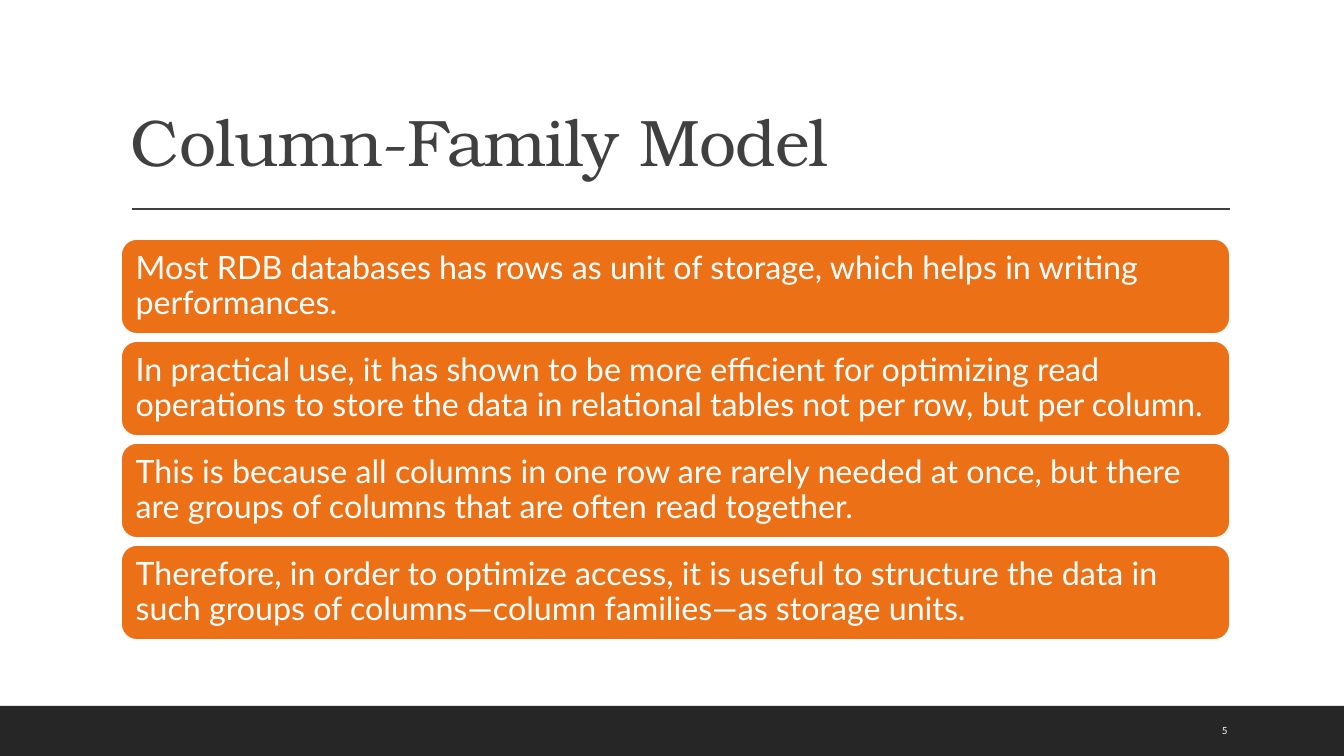
from lxml.etree import SubElement
from pptx import Presentation
from pptx.dml.color import RGBColor
from pptx.enum.shapes import MSO_CONNECTOR as Connector, MSO_SHAPE as Preset
from pptx.enum.text import MSO_ANCHOR as Anchor, PP_ALIGN as Align
from pptx.oxml.ns import qn
from pptx.util import Pt

EMU_PER_PX = 914400 / 100.8
COLORS = {
    "footer": "262626",
    "heading": "404040",
    "card": "EC7016",
    "white": "FFFFFF",
}
STATEMENTS = [
    "Most RDB databases has rows as unit of storage, which helps in writing performances.",
    "In practical use, it has shown to be more efficient for optimizing read operations "
    "to store the data in relational tables not per row, but per column.",
    "This is because all columns in one row are rarely needed at once, but there are "
    "groups of columns that are often read together.",
    "Therefore, in order to optimize access, it is useful to structure the data in such "
    "groups of columns—column families—as storage units.",
]
CARD_LEFT, CARD_TOP, CARD_WIDTH, CARD_HEIGHT, CARD_PITCH = 121, 239, 1109, 95, 102


def px(length):
    return round(length * EMU_PER_PX)


def color(name):
    return RGBColor.from_string(COLORS[name])


def set_all(target, values):
    for name, value in values.items():
        setattr(target, name, value)


def write(shape, text, size, font, ink, anchor=Anchor.MIDDLE):
    frame = shape.text_frame
    margins = {f"margin_{side}": px(10) for side in ("left", "top", "right", "bottom")}
    set_all(frame, {"word_wrap": True, "vertical_anchor": anchor, **margins})
    para = frame.paragraphs[0]
    set_all(para, {"alignment": Align.LEFT, "line_spacing": 0.9})
    span = para.add_run()
    span.text = text
    set_all(span.font, {"size": Pt(size), "name": font})
    span.font.color.rgb = color(ink)
    return span


def add_title(page, text):
    title = page.shapes.title
    set_all(title, {"left": px(121), "top": px(31), "width": px(1109), "height": px(160)})
    span = write(title, text, 47, "TeX Gyre Bonum", "heading", Anchor.BOTTOM)
    span.font._element.set("spc", "-50")


def add_block(page, preset, left, top, width, height, fill):
    block = page.shapes.add_shape(preset, px(left), px(top), px(width), px(height))
    block.shadow.inherit = False
    block.fill.solid()
    block.fill.fore_color.rgb = color(fill)
    block.line.fill.background()
    return block


def add_card(page, top, text):
    card = add_block(page, Preset.ROUNDED_RECTANGLE, CARD_LEFT, top, CARD_WIDTH, CARD_HEIGHT, "card")
    card.line.color.rgb = color("white")
    card.line.width = Pt(1.25)
    write(card, text, 23, "Lato", "white")


def add_rule(page, left, right, top):
    rule = page.shapes.add_connector(Connector.STRAIGHT, px(left), px(top), px(right), px(top))
    rule.line.color.rgb = color("heading")
    rule.line.width = Pt(1)
    SubElement(rule._element.spPr, qn("a:effectLst"))


def add_page_number(page, number):
    box = page.shapes.add_textbox(px(1212), px(711), px(86), px(40))
    write(box, number, 7, "Lato", "white")


def main():
    deck = Presentation()
    set_all(deck, {"slide_width": px(1344), "slide_height": px(756)})
    page = deck.slides.add_slide(deck.slide_layouts[5])
    add_block(page, Preset.RECTANGLE, 0, 706, 1344, 50, "footer")
    add_rule(page, 132, 1230, 209)
    add_title(page, "Column-Family Model")
    add_page_number(page, "5")
    for index, statement in enumerate(STATEMENTS):
        add_card(page, CARD_TOP + index * CARD_PITCH, statement)
    deck.save("out.pptx")


if __name__ == "__main__":
    main()
